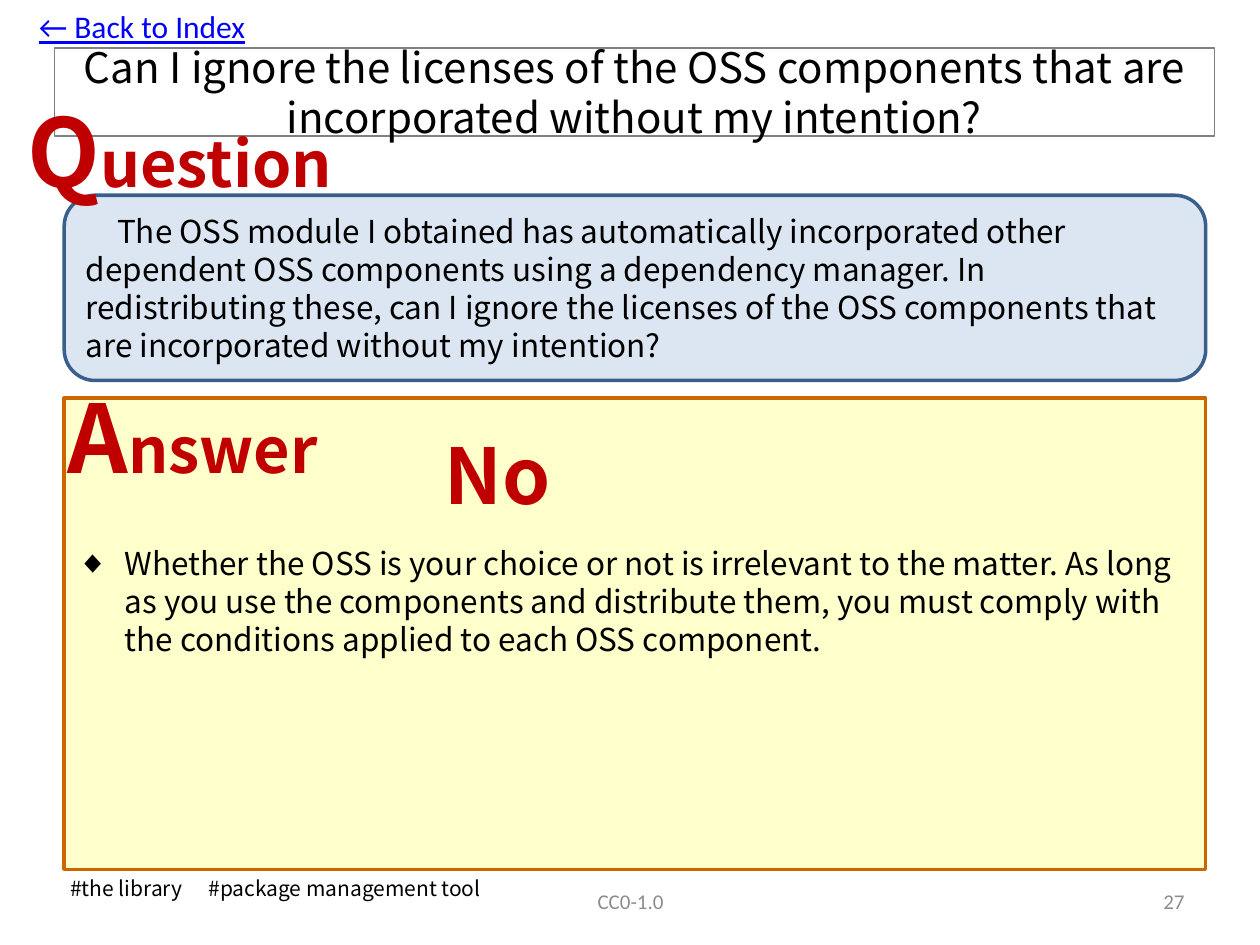
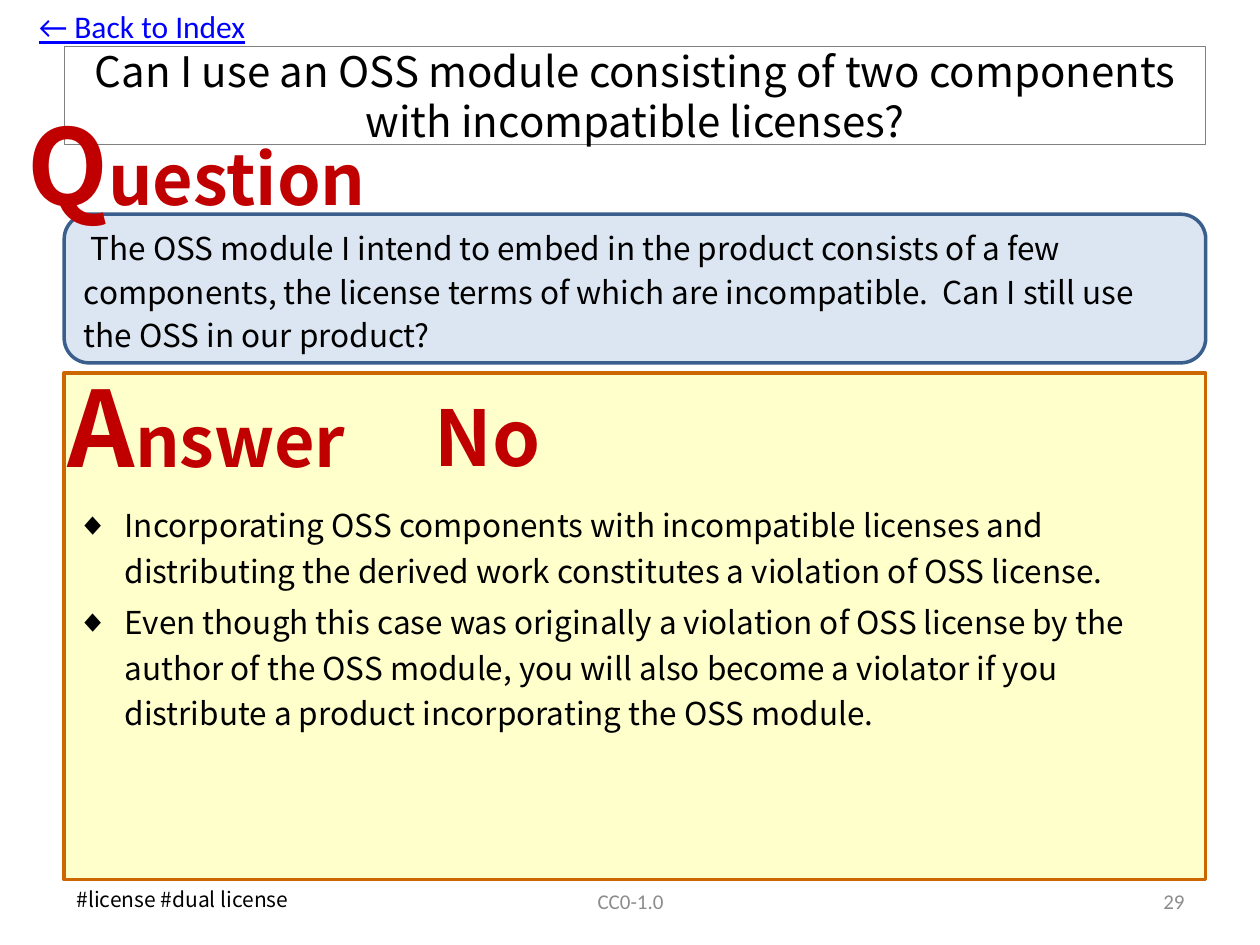
import pptx
import pptx.util
import pptx.dml.color
import pptx.enum.shapes
import pptx.enum.text
import pptx.oxml.ns
import lxml.etree

PX = 9144  # EMU per px, 100 px to the inch
SLIDE_SIZE = (1000, 750)

BLACK = "000000"
RED = "C00000"
FOOTER_GREY = "8C8C8C"
LINK_BLUE = "0000FF"
TITLE_LINE = "808080"
QUESTION_FILL, QUESTION_LINE = "DCE6F2", "3A5F8C"
ANSWER_FILL, ANSWER_LINE = "FFFFCC", "CC6600"

JP_FONT = "Noto Sans CJK JP"
UI_FONT = "Calibri"
BULLET_INDENT = 38

Pt = pptx.util.Pt
ALIGN = pptx.enum.text.PP_ALIGN
ANCHOR = pptx.enum.text.MSO_ANCHOR
FIT = pptx.enum.text.MSO_AUTO_SIZE
PRESET = pptx.enum.shapes.MSO_SHAPE


def emu(*lengths):
    return [length * PX for length in lengths]


def rgb(hex_colour):
    return pptx.dml.color.RGBColor.from_string(hex_colour)


def place(shape, box):
    shape.left, shape.top, shape.width, shape.height = emu(*box)


def outline(shape, colour, width):
    shape.line.color.rgb = rgb(colour)
    shape.line.width = Pt(width)


def add_bullet(paragraph):
    properties = paragraph._p.get_or_add_pPr()
    properties.set("marL", str(BULLET_INDENT * PX))
    properties.set("indent", str(-BULLET_INDENT * PX))
    bullet = lxml.etree.SubElement(properties, pptx.oxml.ns.qn("a:buChar"))
    bullet.set("char", "◆")


def add_run(paragraph, text, size, font, colour, bold, underline):
    run = paragraph.add_run()
    run.text = text
    run.font.size = Pt(size)
    run.font.bold = bold
    run.font.underline = underline
    run.font.color.rgb = rgb(colour)
    run.font.name = font
    latin = run.font._element.find(pptx.oxml.ns.qn("a:latin"))
    east_asian = lxml.etree.Element(pptx.oxml.ns.qn("a:ea"), typeface=font)
    latin.addnext(east_asian)


def write(shape, *paragraphs, size=18, font=JP_FONT, colour=BLACK, bold=False,
          underline=False, align=ALIGN.LEFT, anchor=ANCHOR.TOP, wrap=True,
          fit=FIT.NONE, bullets=False, line_spacing=None, gap=0):
    """Fill a shape; a paragraph is a string or a list of (text, size) runs."""
    frame = shape.text_frame
    frame.word_wrap = wrap
    frame.auto_size = fit
    frame.vertical_anchor = anchor
    for index, content in enumerate(paragraphs):
        paragraph = frame.add_paragraph() if index else frame.paragraphs[0]
        if bullets:
            add_bullet(paragraph)
        paragraph.alignment = align
        paragraph.space_before = Pt(gap if index else 0)
        if line_spacing:
            paragraph.line_spacing = line_spacing
        runs = [(content, size)] if isinstance(content, str) else content
        for text, run_size in runs:
            add_run(paragraph, text, run_size, font, colour, bold, underline)


def add_label(slide, box, content, **text_format):
    label = slide.shapes.add_textbox(*emu(*box))
    write(label, content, **text_format)


def add_panel(slide, preset, box, fill, line):
    panel = slide.shapes.add_shape(preset, *emu(*box))
    panel.shadow.inherit = False
    panel.fill.solid()
    panel.fill.fore_color.rgb = rgb(fill)
    outline(panel, line, 2)
    return panel


def add_heading(slide, box, word, initial_size, rest_size):
    add_label(slide, box, [(word[0], initial_size), (word[1:], rest_size)],
              colour=RED, bold=True, wrap=False, fit=FIT.SHAPE_TO_FIT_TEXT)


def add_title(slide, box, text):
    title = slide.shapes.title
    place(title, box)
    outline(title, TITLE_LINE, 0.75)
    write(title, text, size=24, align=ALIGN.CENTER, anchor=ANCHOR.MIDDLE)


def add_question(slide, box, text, heading_rise, heading_size, heading_sizes,
                 line_spacing=None):
    left, top, _, _ = box
    panel = add_panel(slide, PRESET.ROUNDED_RECTANGLE, box, QUESTION_FILL, QUESTION_LINE)
    write(panel, text, anchor=ANCHOR.MIDDLE, line_spacing=line_spacing)
    add_heading(slide, (left - 39, top - heading_rise, *heading_size),
                "Question", *heading_sizes)


def add_answer(slide, box, reasons, reasons_drop, heading_rise, heading_size,
               heading_sizes, verdict_offset, verdict_width, line_spacing=None):
    left, top, width, height = box
    panel = add_panel(slide, PRESET.RECTANGLE, box, ANSWER_FILL, ANSWER_LINE)
    slide.shapes.title.element.addprevious(panel.element)

    body = slide.placeholders[1]
    place(body, (left, top + reasons_drop, width, height - reasons_drop))
    write(body, *reasons, bullets=True, line_spacing=line_spacing, gap=3.6)

    add_heading(slide, (left - 7, top - heading_rise, *heading_size),
                "Answer", *heading_sizes)
    right, down = verdict_offset
    add_label(slide, (left + right, top + down, verdict_width, 84), "No",
              size=44, colour=RED, bold=True, fit=FIT.SHAPE_TO_FIT_TEXT)


def add_footer(slide, page, tags, tags_box):
    footer = dict(size=12, font=UI_FONT, colour=FOOTER_GREY, anchor=ANCHOR.MIDDLE)
    add_label(slide, (342, 695, 317, 40), "CC0-1.0", align=ALIGN.CENTER, **footer)
    add_label(slide, (717, 695, 233, 40), page, align=ALIGN.RIGHT, **footer)
    add_label(slide, tags_box, tags, size=12, wrap=False, fit=FIT.SHAPE_TO_FIT_TEXT)


def add_faq_slide(deck, title, question, answer, footer):
    slide = deck.slides.add_slide(deck.slide_layouts[1])
    add_title(slide, **title)
    add_question(slide, **question)
    add_answer(slide, **answer)
    add_footer(slide, **footer)
    add_label(slide, (21, 1, 186, 40), "← Back to Index", font=UI_FONT,
              colour=LINK_BLUE, underline=True, wrap=False, fit=FIT.SHAPE_TO_FIT_TEXT)


FAQ = [
    dict(
        title=dict(
            box=(43, 38, 921, 70),
            text="Can I ignore the licenses of the OSS components that are "
                 "incorporated without my intention?"),
        question=dict(
            box=(51, 155, 906, 147),
            text="　The OSS module I obtained has automatically incorporated other "
                 "dependent OSS components using a dependency manager. In "
                 "redistributing these, can I ignore the licenses of the OSS "
                 "components that are incorporated without my intention?",
            heading_rise=86, heading_size=(278, 101), heading_sizes=(54, 36)),
        answer=dict(
            box=(51, 316, 906, 374),
            reasons=[
                "Whether the OSS is your choice or not is irrelevant to the matter. "
                "As long as you use the components and distribute them, you must "
                "comply with the conditions applied to each OSS component."],
            reasons_drop=111,
            heading_rise=20, heading_size=(239, 101), heading_sizes=(54, 36),
            verdict_offset=(292, 18), verdict_width=173),
        footer=dict(page="27", tags="#the library 　#package management tool",
                    tags_box=(46, 690, 366, 30))),
    dict(
        title=dict(
            box=(51, 37, 906, 78),
            text="Can I use an OSS module consisting of two components with "
                 "incompatible licenses?"),
        question=dict(
            box=(51, 170, 906, 118),
            text=" The OSS module I intend to embed in the product consists of a "
                 "few components, the license terms of which are incompatible.  "
                 "Can I still use the OSS in our product?",
            heading_rise=95, heading_size=(307, 111), heading_sizes=(60, 40),
            line_spacing=Pt(25)),
        answer=dict(
            box=(51, 296, 906, 402),
            reasons=[
                "Incorporating OSS components with incompatible licenses and "
                "distributing the derived work constitutes a violation of OSS license.",
                "Even though this case was originally a violation of OSS license by "
                "the author of the OSS module, you will also become a violator if "
                "you distribute a product incorporating the OSS module."],
            reasons_drop=95,
            heading_rise=13, heading_size=(263, 111), heading_sizes=(60, 40),
            verdict_offset=(284, 8), verdict_width=213, line_spacing=1.2),
        footer=dict(page="29", tags="#license #dual license",
                    tags_box=(51, 699, 203, 30))),
]


def main():
    deck = pptx.Presentation()
    deck.slide_width, deck.slide_height = emu(*SLIDE_SIZE)
    for entry in FAQ:
        add_faq_slide(deck, **entry)
    deck.save("out.pptx")


if __name__ == "__main__":
    main()
